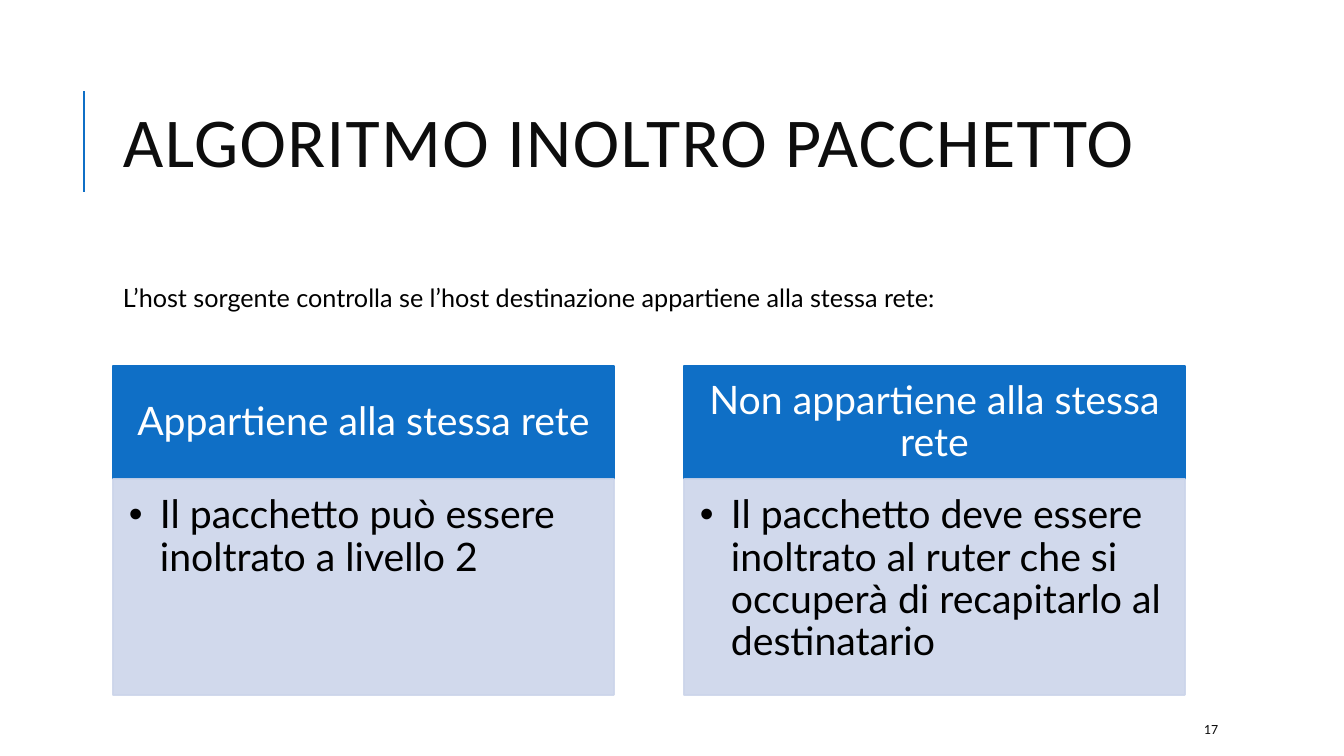
from pptx import Presentation
from pptx.dml.color import RGBColor as RGB
from pptx.enum.shapes import MSO_CONNECTOR as Link, MSO_SHAPE as Form
from pptx.enum.text import MSO_ANCHOR as Anchor, PP_ALIGN as Align
from pptx.oxml.ns import qn
from pptx.util import Pt
from lxml.etree import SubElement as sub

SCALE = 914400 / 100.8
BLUE = RGB(0x0F, 0x6F, 0xC6)
PALE = RGB(0xCC, 0xD5, 0xEA)
INK = RGB(0x0D, 0x0D, 0x0D)
BLACK = RGB(0, 0, 0)
WHITE = RGB(255, 255, 255)


def px(*vals):
    return [round(v * SCALE) for v in vals]


class Deck:
    face = "Lato"
    pad = (10, 5, 10, 5)

    def __init__(self, wide, high):
        self.prs = Presentation()
        self.prs.slide_width, self.prs.slide_height = px(wide, high)
        self.slide = self.prs.slides.add_slide(self.prs.slide_layouts[6])
        self.items = self.slide.shapes

    def text(self, shape, words, size, color, face=None, pad=None,
             anchor=Anchor.TOP, align=Align.LEFT, lead=1.0, track=0, dent=0):
        frame = shape.text_frame
        frame.word_wrap = True
        frame.vertical_anchor = anchor
        (frame.margin_left, frame.margin_top,
         frame.margin_right, frame.margin_bottom) = px(*(pad or self.pad))
        para = frame.paragraphs[0]
        para.alignment = align
        para.line_spacing = lead
        run = para.add_run()
        run.text = words
        run.font.name = face or self.face
        run.font.size = Pt(size)
        run.font.color.rgb = color
        if track:
            run.font._element.set("spc", str(track * 100))
        if dent:
            props = para._p.get_or_add_pPr()
            left, = px(dent)
            props.set("marL", str(left))
            props.set("indent", str(-left))
            sub(props, qn("a:buFont"), typeface="Arial")
            sub(props, qn("a:buChar"), char="•")

    def label(self, box, words, size, color, **style):
        self.text(self.items.add_textbox(*px(*box)), words, size, color, **style)

    def panel(self, box, fill, words, color, alpha=100, **style):
        shape = self.items.add_shape(Form.RECTANGLE, *px(*box))
        shape.shadow.inherit = False
        shape.fill.solid()
        shape.fill.fore_color.rgb = fill
        shape.line.color.rgb = fill
        shape.line.width = Pt(1.25)
        if alpha < 100:
            for tone in shape._element.spPr.iter(qn("a:srgbClr")):
                sub(tone, qn("a:alpha"), val=str(alpha * 1000))
        self.text(shape, words, 28, color, lead=0.9, **style)

    def rule(self, ends, color, width):
        line = self.items.add_connector(Link.STRAIGHT, *px(*ends))
        line.line.color.rgb = color
        line.line.width = Pt(width)
        sub(line._element.spPr, qn("a:effectLst"))


deck = Deck(1344, 756)
deck.rule((84, 192, 84, 91), BLUE, 1.5)
deck.label((113, 65, 1071, 165), "ALGORITMO INOLTRO PACCHETTO", 50, INK,
           face="Calibri", anchor=Anchor.MIDDLE, lead=0.8, track=1)
deck.label((113, 277, 1082, 40),
           "L’host sorgente controlla se l’host destinazione appartiene alla stessa rete:",
           18, BLACK)

CASES = [
    ("Appartiene alla stessa rete",
     "Il pacchetto può essere inoltrato a livello 2"),
    ("Non appartiene alla stessa rete",
     "Il pacchetto deve essere inoltrato al ruter che si occuperà di recapitarlo al destinatario"),
]
LEFT, TOP, WIDE, HEAD, BODY, GAP = 113, 366, 501, 113, 216, 70
for i, (case, step) in enumerate(CASES):
    x = LEFT + i * (WIDE + GAP)
    deck.panel((x, TOP, WIDE, HEAD), BLUE, case, WHITE, pad=(22, 12, 22, 12),
               anchor=Anchor.MIDDLE, align=Align.CENTER)
    deck.panel((x, TOP + HEAD, WIDE, BODY), PALE, step, BLACK, alpha=90,
               pad=(16, 16, 22, 24), dent=31)

deck.label((1194, 714, 107, 30), "17", 10, INK, face="Calibri", anchor=Anchor.MIDDLE)
deck.prs.save("out.pptx")
